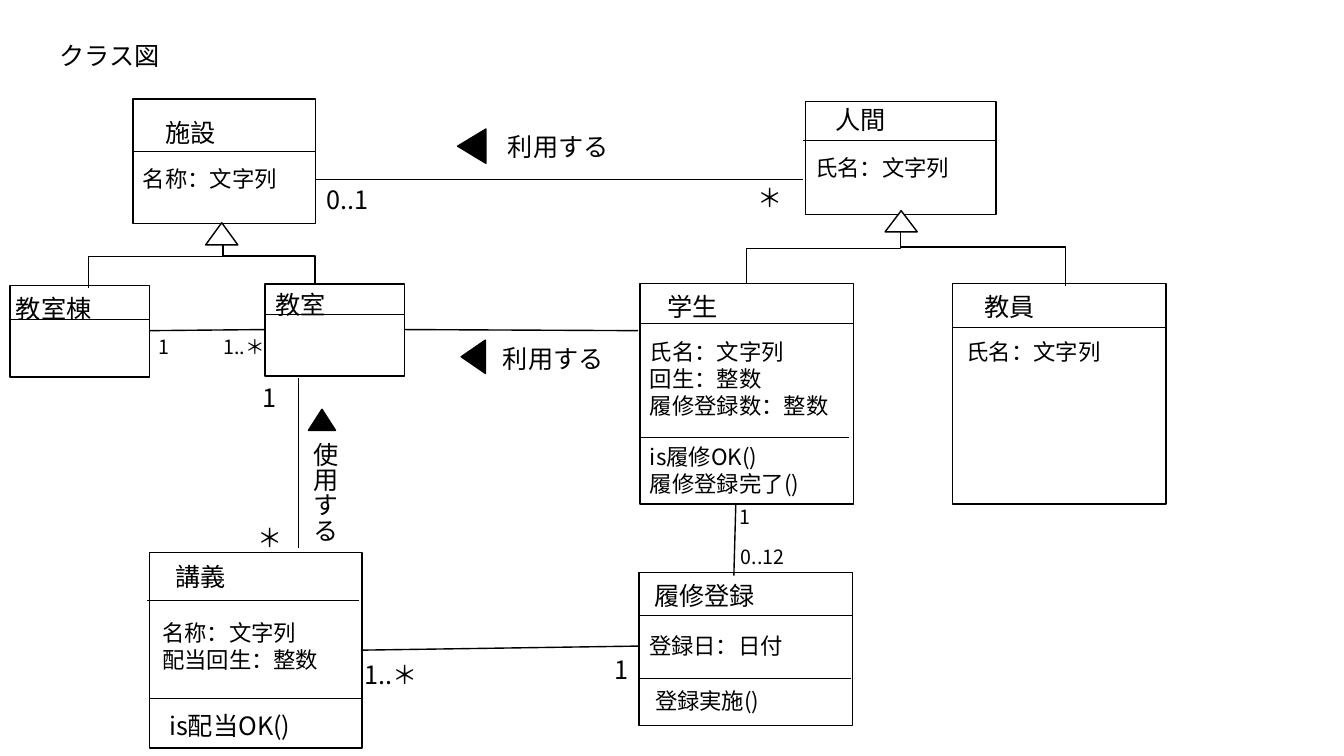
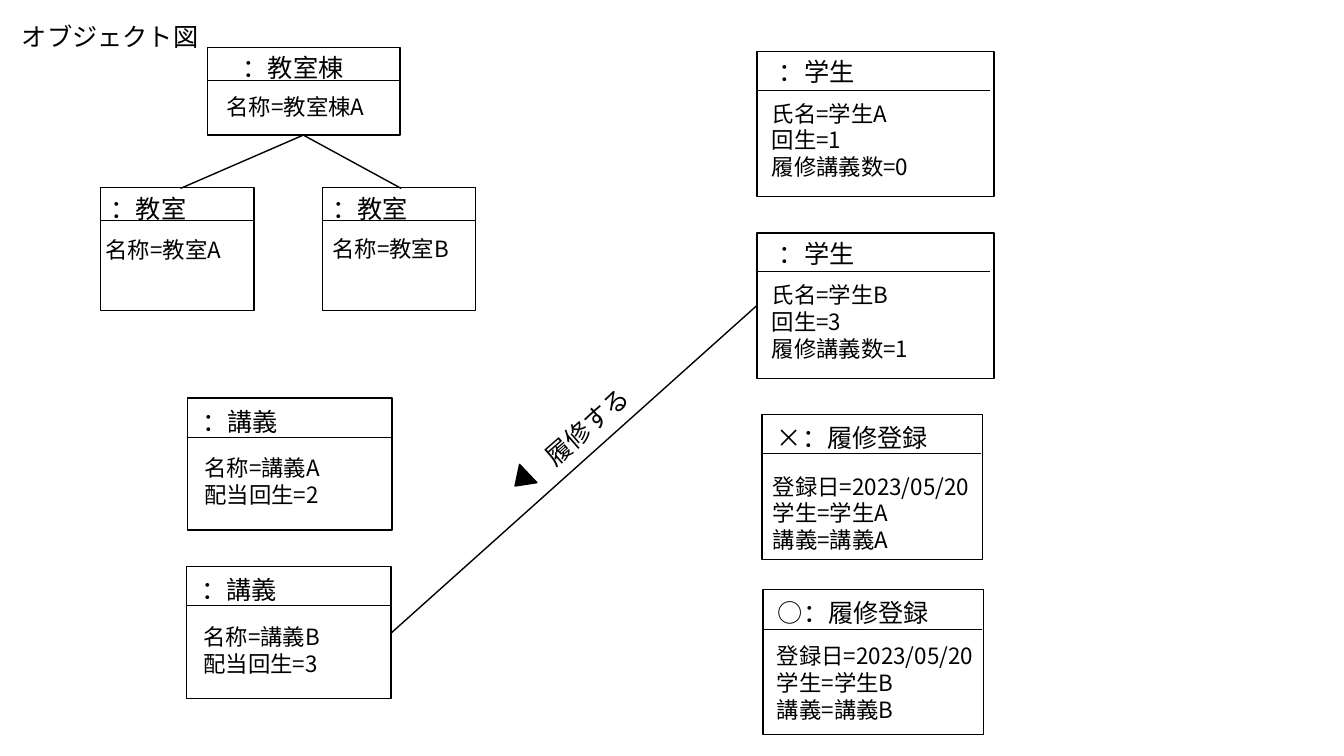
"""Builds a UML class diagram and a matching object diagram of course registration."""
from lxml import etree
from pptx import Presentation
from pptx.dml.color import RGBColor
from pptx.enum.shapes import MSO_CONNECTOR, MSO_SHAPE
from pptx.enum.text import MSO_AUTO_SIZE
from pptx.oxml.ns import qn
from pptx.util import Pt

COLORS = {"ink": "000000", "paper": "FFFFFF"}
INK = RGBColor.from_string(COLORS["ink"])
FONT = "Noto Sans CJK JP"
HEADING, BODY, SMALL = 18, 16, 14
THIN, NORMAL = 0.5, 1


def add_line(slide, start, end, weight=NORMAL, kind=MSO_CONNECTOR.STRAIGHT):
    line = slide.shapes.add_connector(kind, *map(Pt, (*start, *end)))
    line.line.color.rgb = INK
    line.line.width = Pt(weight)
    etree.SubElement(line._element.spPr, qn("a:effectLst"))
    return line


def add_label(slide, left, top, width, size, text, rotation=0, height=None):
    rows = text.split("\n")
    height = height or 7.2 + len(rows) * size * 1.2
    label = slide.shapes.add_textbox(Pt(left), Pt(top), Pt(width), Pt(height))
    label.rotation = rotation
    frame = label.text_frame
    frame.word_wrap = True
    frame.auto_size = MSO_AUTO_SIZE.SHAPE_TO_FIT_TEXT
    for index, row in enumerate(rows):
        paragraph = frame.paragraphs[0] if index == 0 else frame.add_paragraph()
        run = paragraph.add_run()
        run.text = row
        run.font.size = Pt(size)
        run.font.color.rgb = INK
        run.font.name = FONT
        etree.SubElement(run.font._element, qn("a:ea"), typeface=FONT)
    return label


prs = Presentation()
prs.slide_width, prs.slide_height = Pt(960), Pt(540)
class_slide = prs.slides.add_slide(prs.slide_layouts[6])
object_slide = prs.slides.add_slide(prs.slide_layouts[6])

# Each entry: box, dividers (dx, dy, length), texts (dx, dy, width, size, text)
classes = [
    ((95, 70.6, 130.3, 89.3), [(0, 37.4, 130.3)],
     [(15.9, 10, 95.8, HEADING, "施設"), (0, 43.9, 130.3, BODY, "名称：文字列")]),
    ((189.4, 203, 99.4, 65.5), [(0, 21.6, 99.4)],
     [(0, 0, 88.6, HEADING, "教室")]),
    ((457.2, 202.3, 152.6, 157.7), [(-0.7, 28.8, 152.6), (0, 110.2, 149)],
     [(12.2, 2.2, 95, HEADING, "学生"),
      (0, 36, 149, BODY, "氏名：文字列\n回生：整数\n履修登録数：整数"),
      (0, 110.9, 136.8, BODY, "is履修OK()\n履修登録完了()")]),
    ((106.6, 394.6, 151.9, 139.7), [(-1.5, 34.5, 151.2), (0, 104.4, 151.2)],
     [(11.5, 2.8, 60.5, HEADING, "講義"),
      (2.1, 43.9, 130.3, BODY, "名称：文字列\n配当回生：整数"),
      (7.2, 109.4, 118.8, HEADING, "is配当OK()")]),
    ((575.3, 72.7, 136.1, 80.6), [(-1.5, 27.4, 137.5)],
     [(14.4, -1.4, 106.6, HEADING, "人間"), (0, 33.9, 130.3, BODY, "氏名：文字列")]),
    ((7.2, 203.8, 99.4, 65.5), [(0, 24.4, 99.4)],
     [(-2.9, 2.1, 88.6, HEADING, "教室棟")]),
    ((680.4, 202.3, 152.6, 157.7), [(0, 31.7, 152.6)],
     [(15.8, 2.2, 130.3, HEADING, "教員"), (2.9, 36, 132.5, BODY, "氏名：文字列")]),
    ((456.5, 409, 152.6, 109.4), [(0, 30.9, 152.6), (-0.7, 75.6, 152)],
     [(3.6, 2.1, 128.2, HEADING, "履修登録"),
      (0, 38.8, 128.2, BODY, "登録日：日付"),
      (4.3, 78.4, 128.2, BODY, "登録実施()")]),
]

objects = [
    ((148.3, 33.8, 137.5, 62.6), [(0, 23.8, 137.5)],
     [(18, 0, 93.6, HEADING, "：教室棟"), (6.5, 29.5, 131, BODY, "名称=教室棟A")]),
]
for letter, left, name_dx, name_dy, name_width in [
        ("A", 72, -3.6, 31, 137.5), ("B", 230.4, 0, 30.2, 112.3)]:
    objects.append(
        ((left, 133.9, 109.4, 87.8), [(0, 23.8, 109.4)],
         [(0, 0.7, 112.3, HEADING, "：教室"),
          (name_dx, name_dy, name_width, BODY, f"名称=教室{letter}")]))
for letter, top, year, count in [("A", 36.7, 1, 0), ("B", 166.5, 3, 1)]:
    objects.append(
        ((540.7, top, 169.2, 103.7), [(0, 27.7, 166.3)],
         [(8.6, 0, 103.7, HEADING, "：学生"),
          (3.6, 31, 139, BODY, f"氏名=学生{letter}\n回生={year}\n履修講義数={count}")]))
for letter, left, top, year in [("A", 133.9, 284.4, 2), ("B", 133.2, 404.6, 3)]:
    objects.append(
        ((left, top, 146.2, 94.3), [(0.7, 28.1, 144.7)],
         [(3.6, 2.2, 110.2, HEADING, "：講義"),
          (5, 36.7, 121, BODY, f"名称=講義{letter}\n配当回生={year}")]))
for letter, left, top, mark, entry_dx, entry_dy in [
        ("A", 544.3, 295.9, "×", 0.7, 38.2), ("B", 545, 421.2, "○", 2.9, 33.8)]:
    objects.append(
        ((left, top, 157.7, 103.7), [(0.7, 28.1, 155.5)],
         [(3.6, 2.2, 138, HEADING, f"{mark}：履修登録"),
          (entry_dx, entry_dy, 191.5, BODY,
           f"登録日=2023/05/20\n学生=学生{letter}\n講義=講義{letter}")]))

for slide, boxes in [(class_slide, classes), (object_slide, objects)]:
    for (left, top, width, height), dividers, texts in boxes:
        box = slide.shapes.add_shape(
            MSO_SHAPE.RECTANGLE, Pt(left), Pt(top), Pt(width), Pt(height))
        box.shadow.inherit = False
        box.fill.solid()
        box.fill.fore_color.rgb = RGBColor.from_string(COLORS["paper"])
        box.line.color.rgb = INK
        box.line.width = Pt(NORMAL)
        for dx, dy, length in dividers:
            add_line(slide, (left + dx, top + dy), (left + dx + length, top + dy), THIN)
        for dx, dy, text_width, size, text in texts:
            add_label(slide, left + dx, top + dy, text_width, size, text)

for start, end in [((133.9, 231.4), (88.6, 135.4)), ((612.7, 232.6), (563.8, 122.4))]:
    trunk = add_line(class_slide, start, end, kind=MSO_CONNECTOR.ELBOW)
    trunk._element.spPr.find(qn("a:xfrm")).set("rot", "5400000")
for start, end in [((158.4, 182.9), (225, 203)), ((643.7, 176.4), (761, 204.5))]:
    branch = add_line(class_slide, start, end, kind=MSO_CONNECTOR.ELBOW)
    branch._element.spPr.find(qn("a:prstGeom")).set("prst", "bentConnector2")

associations = [
    (class_slide, (225.4, 128.2), (573.8, 128.2)),
    (class_slide, (189.4, 235.4), (106.6, 236.2)),
    (class_slide, (288.7, 235.4), (455.8, 236.2)),
    (class_slide, (213.1, 270), (213.1, 391.7)),
    (class_slide, (525.6, 359.3), (524.2, 411.1)),
    (class_slide, (257.8, 464.4), (456.5, 461.5)),
    (object_slide, (540.7, 218.2), (279.4, 452.2)),
    (object_slide, (216.7, 96.5), (128.9, 134.6)),
    (object_slide, (216.7, 96.5), (286.6, 134.6)),
]
for slide, start, end in associations:
    add_line(slide, start, end)

triangles = [
    (class_slide, 146.9, 159.1, 23, 15.8, 0, "paper"),
    (class_slide, 632.2, 150.5, 23, 15.1, 0, "paper"),
    (class_slide, 324.7, 94.3, 24.5, 20.2, 270, "ink"),
    (class_slide, 326.2, 246.2, 23.8, 17.3, 270, "ink"),
    (class_slide, 220.3, 292.3, 19.4, 15.1, 0, "ink"),
    (object_slide, 363.6, 336.2, 18, 13, 226.6, "ink"),
]
for slide, left, top, width, height, rotation, fill in triangles:
    triangle = slide.shapes.add_shape(
        MSO_SHAPE.ISOSCELES_TRIANGLE, Pt(left), Pt(top), Pt(width), Pt(height))
    triangle.rotation = rotation
    triangle.shadow.inherit = False
    triangle.fill.solid()
    triangle.fill.fore_color.rgb = RGBColor.from_string(COLORS[fill])
    triangle.line.color.rgb = INK
    triangle.line.width = Pt(NORMAL)

for left, top, width, size, text in [
        (35.3, 25.2, 110.2, HEADING, "クラス図"),
        (355.7, 90, 87.8, HEADING, "利用する"),
        (352.1, 241.9, 87.8, HEADING, "利用する"),
        (226.1, 128.2, 70.6, HEADING, "0..1"),
        (534.2, 126.7, 48.2, HEADING, "＊"),
        (152.6, 235.4, 70.6, SMALL, "1..＊"),
        (105.8, 235.4, 70.6, SMALL, "1"),
        (177.1, 369.4, 70.6, HEADING, "＊"),
        (180.7, 269.3, 70.6, HEADING, "1"),
        (432, 463.7, 43.2, HEADING, "1"),
        (253.4, 467.3, 70.6, HEADING, "1..＊"),
        (521.3, 357.1, 43.2, SMALL, "1"),
        (522, 385.9, 85.7, SMALL, "0..12")]:
    add_label(class_slide, left, top, width, size, text)

usage = add_label(class_slide, 211, 308.9, 36, HEADING, "使用する", height=129.6)
usage.text_frame._txBody.bodyPr.set("vert", "eaVert")

add_label(object_slide, 8.6, 11.5, 146.2, HEADING, "オブジェクト図")
add_label(object_slide, 375.8, 288.7, 90.7, HEADING, "履修する", rotation=318.8)

prs.save("out.pptx")
